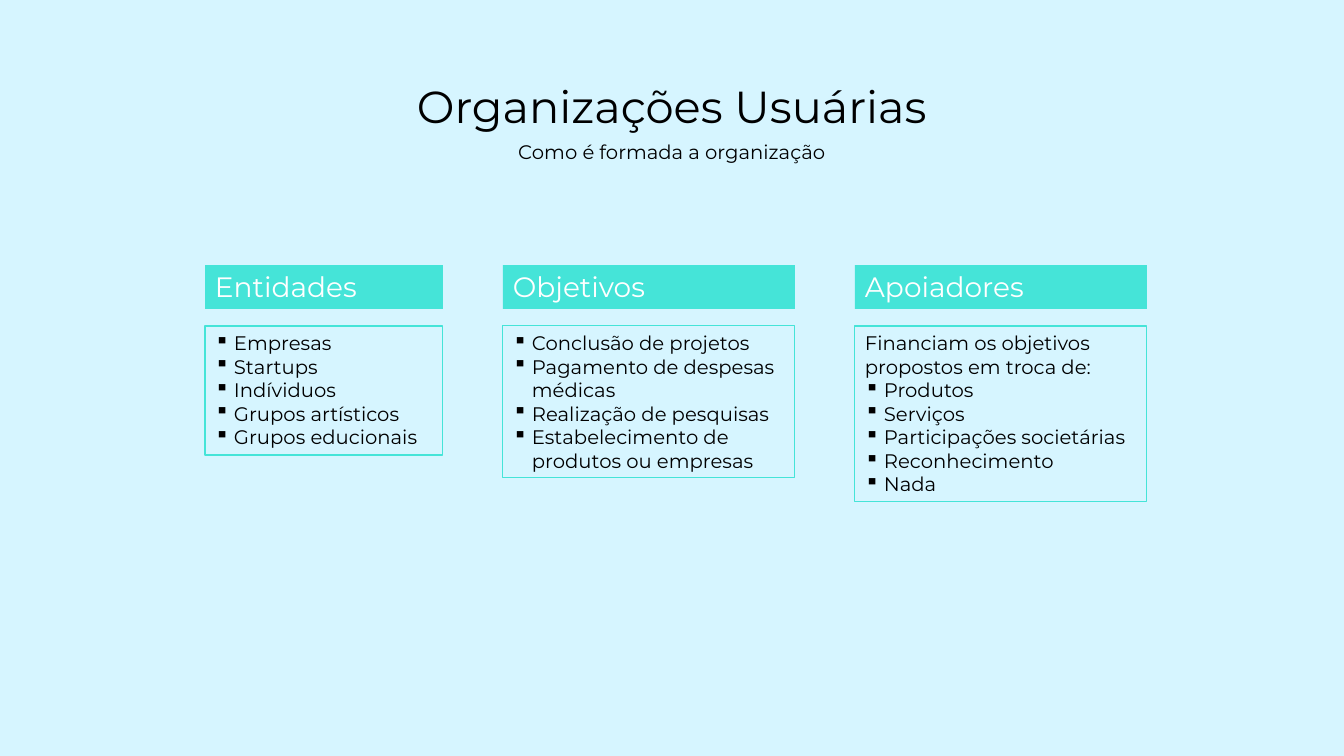
from dataclasses import dataclass

from lxml.etree import SubElement
from pptx import Presentation
from pptx.dml.color import RGBColor
from pptx.enum.shapes import MSO_SHAPE
from pptx.enum.text import MSO_ANCHOR, PP_ALIGN
from pptx.oxml.ns import qn
from pptx.shapes.autoshape import Shape
from pptx.slide import Slide
from pptx.text.text import TextFrame
from pptx.util import Emu, Pt

SCALE = 12192000 / 1344


@dataclass(frozen=True)
class Theme:
    font: str = "Montserrat"
    back: RGBColor = RGBColor(0xD6, 0xF5, 0xFF)
    teal: RGBColor = RGBColor(0x45, 0xE4, 0xD8)
    white: RGBColor = RGBColor(0xFF, 0xFF, 0xFF)
    black: RGBColor = RGBColor(0, 0, 0)
    title: int = 32
    head: int = 20
    body: int = 14


@dataclass(frozen=True)
class Column:
    head: str
    items: tuple[str, ...]
    width: int
    height: int
    intro: str = ""


THEME = Theme()
LEFT, GAP = 205, 60
HEAD_TOP, HEAD_HEIGHT, LIST_TOP = 265, 44, 326
INDENT = 19

COLUMNS = (
    Column("Entidades",
           ("Empresas", "Startups", "Indíviduos", "Grupos artísticos",
            "Grupos educionais"), 238, 129),
    Column("Objetivos",
           ("Conclusão de projetos", "Pagamento de despesas médicas",
            "Realização de pesquisas",
            "Estabelecimento de produtos ou empresas"), 292, 152),
    Column("Apoiadores",
           ("Produtos", "Serviços", "Participações societárias",
            "Reconhecimento", "Nada"), 292, 176,
           "Financiam os objetivos propostos em troca de:"),
)


def px(count: int) -> Emu:
    return Emu(round(count * SCALE))


def write(frame: TextFrame, text: str, *, size: int = THEME.body,
          color: RGBColor = THEME.black,
          align: PP_ALIGN = PP_ALIGN.LEFT, bullet: bool = False) -> None:
    """Fill the first paragraph if it is empty, else append one."""
    frame.word_wrap = True
    frame.vertical_anchor = MSO_ANCHOR.TOP
    para = frame.paragraphs[0] if not frame.text else frame.add_paragraph()
    para.alignment = align
    run = para.add_run()
    run.text = text
    run.font.name = THEME.font
    run.font.size = Pt(size)
    run.font.color.rgb = color
    if bullet:
        props = para._p.get_or_add_pPr()
        props.set("marL", str(px(INDENT)))
        props.set("indent", str(-px(INDENT)))
        SubElement(props, qn("a:buChar")).set("char", "▪")


def label(slide: Slide, text: str, top: int, height: int, size: int) -> None:
    box = slide.shapes.add_textbox(px(274), px(top), px(796), px(height))
    write(box.text_frame, text, size=size, align=PP_ALIGN.CENTER)


def panel(slide: Slide, left: int, top: int, width: int, height: int,
          filled: bool) -> Shape:
    """Draw a rectangle that is either filled or outlined in teal."""
    shape = slide.shapes.add_shape(MSO_SHAPE.RECTANGLE, px(left), px(top),
                                   px(width), px(height))
    shape.shadow.inherit = False
    if filled:
        shape.fill.solid()
        shape.fill.fore_color.rgb = THEME.teal
        shape.line.fill.background()
    else:
        shape.fill.background()
        shape.line.color.rgb = THEME.teal
        shape.line.width = Pt(0.75)
    return shape


def draw(slide: Slide, column: Column, left: int) -> None:
    head = panel(slide, left, HEAD_TOP, column.width, HEAD_HEIGHT, True)
    write(head.text_frame, column.head, size=THEME.head, color=THEME.white)
    body = panel(slide, left, LIST_TOP, column.width, column.height, False)
    if column.intro:
        write(body.text_frame, column.intro)
    for item in column.items:
        write(body.text_frame, item, bullet=True)


def main() -> None:
    deck = Presentation()
    deck.slide_width, deck.slide_height = px(1344), px(756)
    slide = deck.slides.add_slide(deck.slide_layouts[6])
    slide.background.fill.solid()
    slide.background.fill.fore_color.rgb = THEME.back
    label(slide, "Organizações Usuárias", 74, 64, THEME.title)
    label(slide, "Como é formada a organização", 135, 34, THEME.body)
    left = LEFT
    for column in COLUMNS:
        draw(slide, column, left)
        left += column.width + GAP
    deck.save("out.pptx")


if __name__ == "__main__":
    main()
